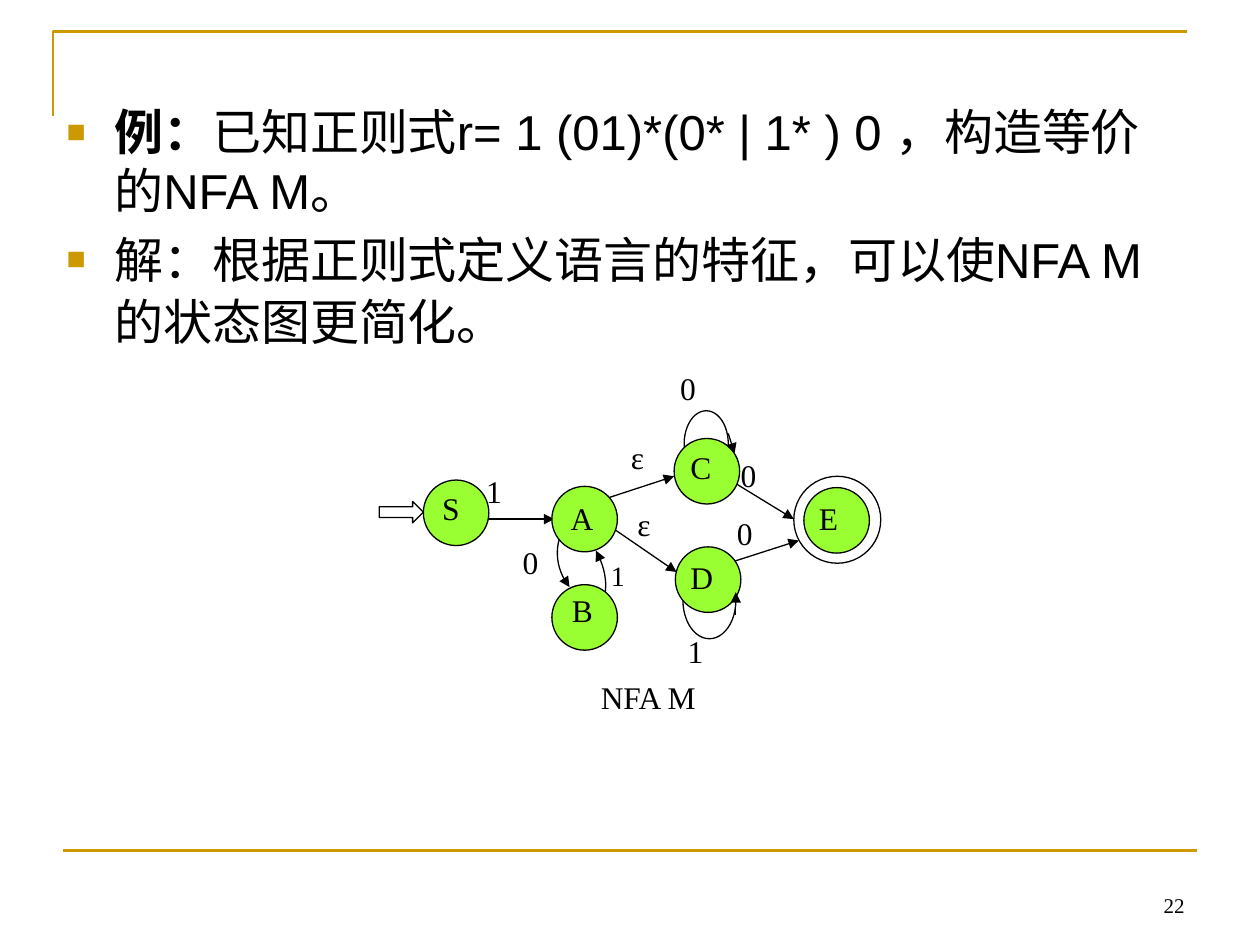
from lxml.etree import SubElement
from pptx import Presentation
from pptx.dml.color import RGBColor
from pptx.enum.shapes import MSO_CONNECTOR, MSO_SHAPE
from pptx.enum.text import MSO_ANCHOR, PP_ALIGN
from pptx.oxml.ns import qn
from pptx.util import Inches, Pt

GOLD, BLACK, WHITE, GREEN = "CC9900", "000000", "FFFFFF", "99FF33"
SERIF, SANS = "Times New Roman", "Arial"
STATE_SIZE = 0.52

# name, circle left and top, label left and top
STATES = [
    ("S", 3.36, 3.81, 3.41, 3.83),
    ("D", 5.36, 4.34, 5.38, 4.38),
    ("E", 6.38, 3.87, 6.4, 3.91),
    ("A", 4.38, 3.86, 4.43, 3.91),
    ("B", 4.38, 4.64, 4.44, 4.64),
    ("C", 5.35, 3.48, 5.38, 3.51),
]
TRANSITIONS = [
    ((3.88, 4.12), (4.4, 4.12)),
    ((4.83, 3.95), (5.35, 3.78)),
    ((4.86, 4.19), (5.37, 4.54)),
    ((5.81, 3.82), (6.3, 4.12)),
    ((5.78, 4.47), (6.34, 4.29)),
]
CURVED_TRANSITIONS = [
    [(4.5, 4.16), (4.39, 4.3), (4.4, 4.51), (4.52, 4.66)],
    [(4.72, 4.87), (4.83, 4.77), (4.84, 4.57), (4.73, 4.37)],
]
LOOPS = [(5.43, 3.26, 0.35, 0.52), (5.42, 4.46, 0.42, 0.61)]
# Ends of the loops, then bare heads at the start and final states
ARROWHEADS = [
    ((5.78, 3.44), (5.83, 3.6)),
    ((5.84, 4.88), (5.84, 4.7)),
    ((3.36, 3.81), (3.36, 3.81)),
    ((6.38, 3.87), (6.38, 3.87)),
]
# symbol, left, top, size
SYMBOLS = [
    ("1", 3.76, 3.7, 18), ("0", 4.05, 4.26, 18), ("1", 4.75, 4.38, 16),
    ("ε", 4.91, 3.43, 18), ("ε", 4.96, 3.96, 18), ("0", 5.3, 2.88, 18),
    ("0", 5.78, 3.57, 18), ("0", 5.75, 4.03, 18), ("1", 5.36, 4.97, 18),
]


def color(hex_value):
    return RGBColor.from_string(hex_value)


def style_line(shape, hex_value, width, arrow=False):
    shape.line.color.rgb = color(hex_value)
    shape.line.width = Pt(width)
    if arrow:
        outline = shape.element.spPr.find(qn("a:ln"))
        SubElement(outline, qn("a:tailEnd"), type="triangle")


def add_line(slide, start, end, hex_value=BLACK, width=0.75, arrow=False):
    ends = [Inches(value) for value in (*start, *end)]
    line = slide.shapes.add_connector(MSO_CONNECTOR.STRAIGHT, *ends)
    style_line(line, hex_value, width, arrow)
    SubElement(line.element.spPr, qn("a:effectLst"))


def add_path(slide, points, hex_value=BLACK, width=0.75, arrow=False):
    corners = [(Inches(x), Inches(y)) for x, y in points]
    builder = slide.shapes.build_freeform(*corners[0])
    builder.add_line_segments(corners[1:], close=False)
    path = builder.convert_to_shape()
    path.fill.background()
    path.shadow.inherit = False
    style_line(path, hex_value, width, arrow)


def bezier(controls, steps=16):
    """Points along a cubic curve."""
    points = []
    for step in range(steps + 1):
        t = step / steps
        weights = ((1 - t) ** 3, 3 * t * (1 - t) ** 2, 3 * t * t * (1 - t), t ** 3)
        points.append([sum(w * c for w, c in zip(weights, axis))
                       for axis in zip(*controls)])
    return points


def add_preset(slide, kind, box, fill=WHITE):
    shape = slide.shapes.add_shape(kind, *map(Inches, box))
    shape.fill.solid()
    shape.fill.fore_color.rgb = color(fill)
    shape.shadow.inherit = False
    style_line(shape, BLACK, 0.75)


def add_frame(slide, box):
    frame = slide.shapes.add_textbox(*map(Inches, box)).text_frame
    frame.word_wrap = True
    return frame


def add_run(paragraph, text, size, font=SERIF, bold=False):
    run = paragraph.add_run()
    run.text = text
    run.font.size = Pt(size)
    run.font.name = font
    run.font.bold = bold
    run.font.color.rgb = color(BLACK)


def add_label(slide, text, box, size=18, align=PP_ALIGN.JUSTIFY, anchor=MSO_ANCHOR.TOP):
    frame = add_frame(slide, box)
    frame.vertical_anchor = anchor
    frame.paragraphs[0].alignment = align
    add_run(frame.paragraphs[0], text, size)


def format_bullet(paragraph):
    paragraph.space_before = Pt(5.6)
    properties = paragraph._p.get_or_add_pPr()
    properties.set("marL", str(Inches(0.38)))
    properties.set("indent", str(Inches(-0.38)))
    bullet_color = SubElement(properties, qn("a:buClr"))
    SubElement(bullet_color, qn("a:srgbClr"), val=GOLD)
    SubElement(properties, qn("a:buSzPct"), val="65000")
    SubElement(properties, qn("a:buFont"), typeface=SANS)
    SubElement(properties, qn("a:buChar"), char="■")


def add_problem(slide):
    frame = add_frame(slide, (0.43, 0.76, 9, 2.36))
    example, solution = frame.paragraphs[0], frame.add_paragraph()
    format_bullet(example)
    add_run(example, "例：", 28, SANS, bold=True)
    add_run(example, "已知正则式r= 1 (01)*(0* | 1* ) 0 ，构造等价的NFA M。", 28, SANS)
    format_bullet(solution)
    add_run(solution, "解：根据正则式定义语言的特征，可以使NFA M的状态图更简化。", 28, SANS)
    add_run(solution, " ", 30, SANS)


def add_automaton(slide):
    for loop in LOOPS:
        add_preset(slide, MSO_SHAPE.OVAL, loop)
    for controls in CURVED_TRANSITIONS:
        add_path(slide, bezier(controls), arrow=True)
    for start, end in TRANSITIONS:
        add_line(slide, start, end, arrow=True)
    add_preset(slide, MSO_SHAPE.RIGHT_ARROW, (3.01, 3.98, 0.35, 0.17))
    add_preset(slide, MSO_SHAPE.OVAL, (6.3, 3.78, 0.69, 0.69))
    for name, left, top, label_left, label_top in STATES:
        add_preset(slide, MSO_SHAPE.OVAL, (left, top, STATE_SIZE, STATE_SIZE), GREEN)
        add_label(slide, name, (label_left, label_top, STATE_SIZE, STATE_SIZE))
    for start, end in ARROWHEADS:
        add_line(slide, start, end, arrow=True)
    for symbol, left, top, size in SYMBOLS:
        add_label(slide, symbol, (left, top, 0.53, 0.52), size)
    add_label(slide, "NFA M", (4.67, 5.33, 1.26, 0.55))


def main():
    deck = Presentation()
    deck.slide_width, deck.slide_height = Inches(10), Inches(7.5)
    slide = deck.slides.add_slide(deck.slide_layouts[6])
    add_path(slide, [(0.42, 0.92), (0.42, 0.25), (9.42, 0.25)], GOLD, 1.5)
    add_line(slide, (0.5, 6.75), (9.5, 6.75), GOLD, 1.5)
    add_label(slide, "22", (7.17, 6.83, 2.33, 0.5), 12, PP_ALIGN.RIGHT, MSO_ANCHOR.BOTTOM)
    add_problem(slide)
    add_automaton(slide)
    deck.save("out.pptx")


if __name__ == "__main__":
    main()
